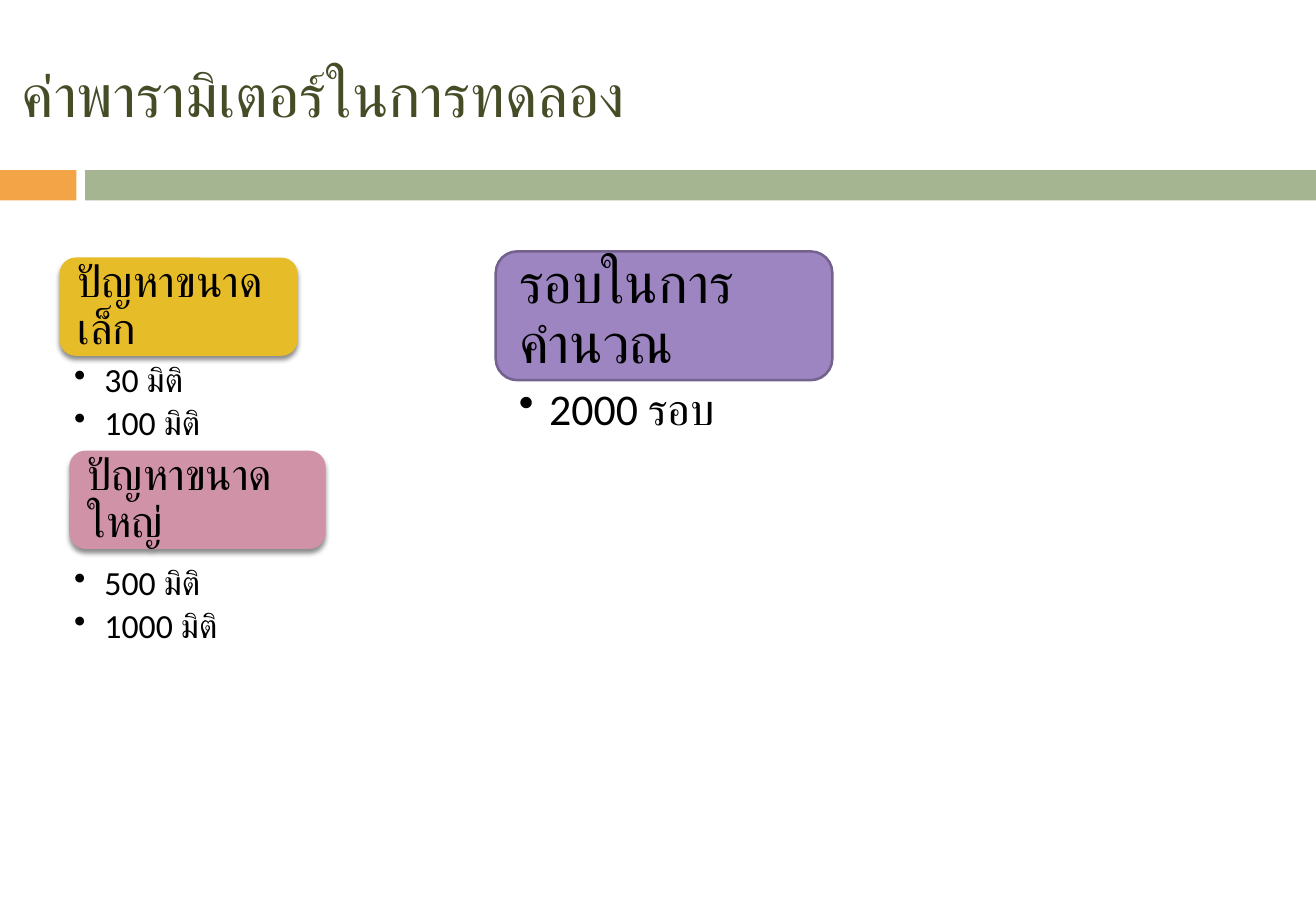
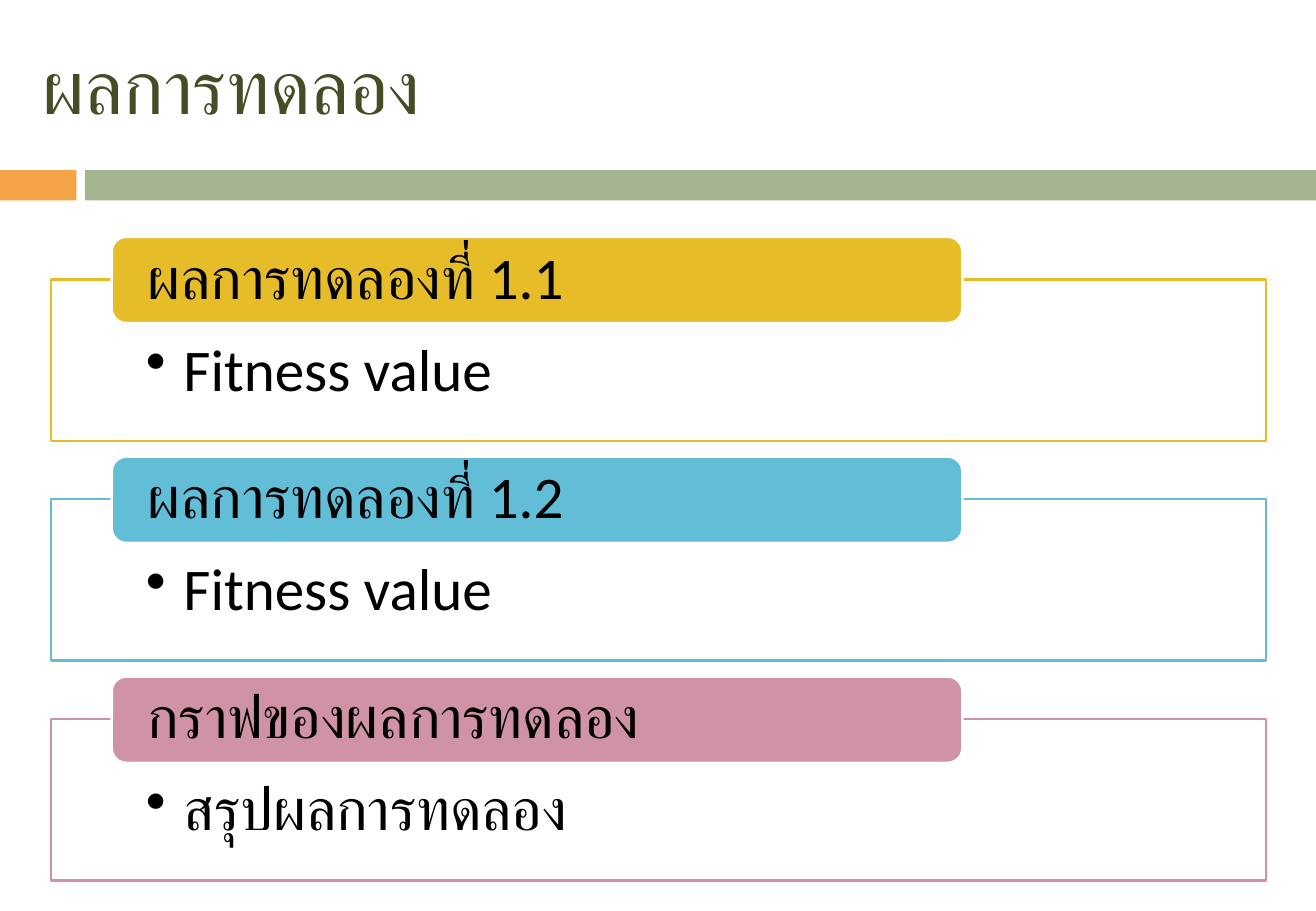
from pptx import Presentation
from pptx.dml.color import RGBColor
from pptx.enum.shapes import MSO_SHAPE
from pptx.enum.text import MSO_ANCHOR, PP_ALIGN
from pptx.oxml import parse_xml
from pptx.oxml.ns import nsdecls, qn
from pptx.util import Pt
from lxml.etree import SubElement

PX = 9144
W, H = 1083, 750

THEME = {
    "font": "Calibri", "title": "444D26", "text": "000000", "white": "FFFFFF",
    "orange": "F3A447", "green": "A5B592", "gold": "E7BC29", "blue": "62BED7",
    "pink": "D092A7", "purple": "9C85C0", "purple_line": "73628E",
    "small": 20, "medium": 26, "large": 33, "result": 35, "line": 1.5,
}

BANDS = [((0, 140, 63, 25), "orange"), ((70, 140, W - 70, 25), "green")]

SETTINGS_TITLE = ("ค่าพารามิเตอร์ในการทดลอง", (8, 33, 724, 88), 35.8)
SETTINGS = [
    {"head": "ปัญหาขนาดเล็ก", "box": (49, 212, 196, 81), "fill": "gold", "line": None,
     "size": "medium", "inset": 11, "items": ["30 มิติ", "100 มิติ"],
     "list": (42, 295, 603, 87), "item_size": "small", "pad": (19, 4, 20, 4)},
    {"head": "ปัญหาขนาดใหญ่", "box": (57, 371, 211, 81), "fill": "pink", "line": None,
     "size": "medium", "inset": 11, "items": ["500 มิติ", "1000 มิติ"],
     "list": (42, 462, 603, 87), "item_size": "small", "pad": (19, 4, 20, 4)},
    {"head": "รอบในการคำนวณ", "box": (408, 207, 277, 106), "fill": "purple",
     "line": "purple_line", "size": "large", "inset": 14, "items": ["2000 รอบ"],
     "list": (408, 314, 603, 109), "item_size": "medium", "pad": (19, 5, 26, 5)},
]

RESULTS_TITLE = ("ผลการทดลอง", (25, 25, 724, 88), 45)
RESULTS = [
    ("ผลการทดลองที่ 1.1", "Fitness value", "gold"),
    ("ผลการทดลองที่ 1.2", "Fitness value", "blue"),
    ("กราฟของผลการทดลอง", "สรุปผลการทดลอง", "pink"),
]
RESULT_TOP, RESULT_STEP, TAB_RISE = 230, 181, 35


def emu(lengths):
    return [v * PX for v in lengths]


def color(name):
    return RGBColor.from_string(THEME[name])


def style(p, size, name="text"):
    for r in p.runs:
        r.font.size = Pt(size)
        r.font.name = THEME["font"]
        r.font.color.rgb = color(name)
        SubElement(r.font._element, qn("a:cs")).set("typeface", THEME["font"])


def add_box(s, kind, box, fill, line=None):
    sp = s.shapes.add_shape(kind, *emu(box))
    sp.shadow.inherit = False
    sp.fill.solid()
    sp.fill.fore_color.rgb = color(fill)
    if line:
        sp.line.color.rgb = color(line)
        sp.line.width = Pt(THEME["line"])
    else:
        sp.line.fill.background()
    return sp


def add_shadow(sp):
    effects = sp._element.spPr.find(qn("a:effectLst"))
    effects.append(parse_xml(
        f'<a:outerShdw {nsdecls("a")} blurRad="{Pt(3)}" dist="{Pt(2.4)}" dir="5400000" '
        'rotWithShape="0"><a:srgbClr val="000000"><a:alpha val="45000"/>'
        '</a:srgbClr></a:outerShdw>'))


def write(sp, lines, size, pad, anchor, indent=0, after=0):
    tf = sp.text_frame
    tf.word_wrap = True
    tf.vertical_anchor = anchor
    tf.margin_left, tf.margin_top, tf.margin_right, tf.margin_bottom = emu(pad)
    tf.text = "\n".join(lines)
    for p in tf.paragraphs:
        if indent:
            pPr = p._p.get_or_add_pPr()
            pPr.set("marL", str(indent * PX))
            pPr.set("indent", str(-indent * PX))
            SubElement(pPr, qn("a:buChar")).set("char", "•")
        p.alignment = PP_ALIGN.LEFT
        p.line_spacing = 0.9
        p.space_after = Pt(after)
        style(p, size)


def add_slide(prs, title, box, size):
    s = prs.slides.add_slide(prs.slide_layouts[5])
    for band, fill in BANDS:
        add_box(s, MSO_SHAPE.RECTANGLE, band, fill)
    sp = s.shapes.title
    sp.left, sp.top, sp.width, sp.height = emu(box)
    tf = sp.text_frame
    tf.text = title
    tf.vertical_anchor = MSO_ANCHOR.MIDDLE
    p = tf.paragraphs[0]
    p.alignment = PP_ALIGN.LEFT
    style(p, size, "title")
    return s


def add_settings(prs):
    s = add_slide(prs, *SETTINGS_TITLE)
    for g in SETTINGS:
        head = add_box(s, MSO_SHAPE.ROUNDED_RECTANGLE, g["box"], g["fill"], g["line"])
        if not g["line"]:
            add_shadow(head)
        write(head, [g["head"]], THEME[g["size"]], [g["inset"]] * 4, MSO_ANCHOR.MIDDLE)
        size = THEME[g["item_size"]]
        items = s.shapes.add_textbox(*emu(g["list"]))
        write(items, g["items"], size, g["pad"], MSO_ANCHOR.TOP, 25, size * 0.2)


def add_results(prs):
    s = add_slide(prs, *RESULTS_TITLE)
    for i, (head, item, accent) in enumerate(RESULTS):
        top = RESULT_TOP + i * RESULT_STEP
        panel = add_box(s, MSO_SHAPE.RECTANGLE, (42, top, 1000, 133), "white", accent)
        clr = panel._element.spPr.find(qn("a:solidFill"))[0]
        SubElement(clr, qn("a:alpha")).set("val", "90000")
        write(panel, [item], THEME["result"], (78, 50, 78, 27), MSO_ANCHOR.TOP, 31)
        tab = add_box(s, MSO_SHAPE.ROUNDED_RECTANGLE, (92, top - TAB_RISE, 700, 71),
                      accent, "white")
        write(tab, [head], THEME["result"], (26, 0, 26, 0), MSO_ANCHOR.MIDDLE)


def main():
    prs = Presentation()
    prs.slide_width, prs.slide_height = emu((W, H))
    add_settings(prs)
    add_results(prs)
    prs.save("out.pptx")


if __name__ == "__main__":
    main()
